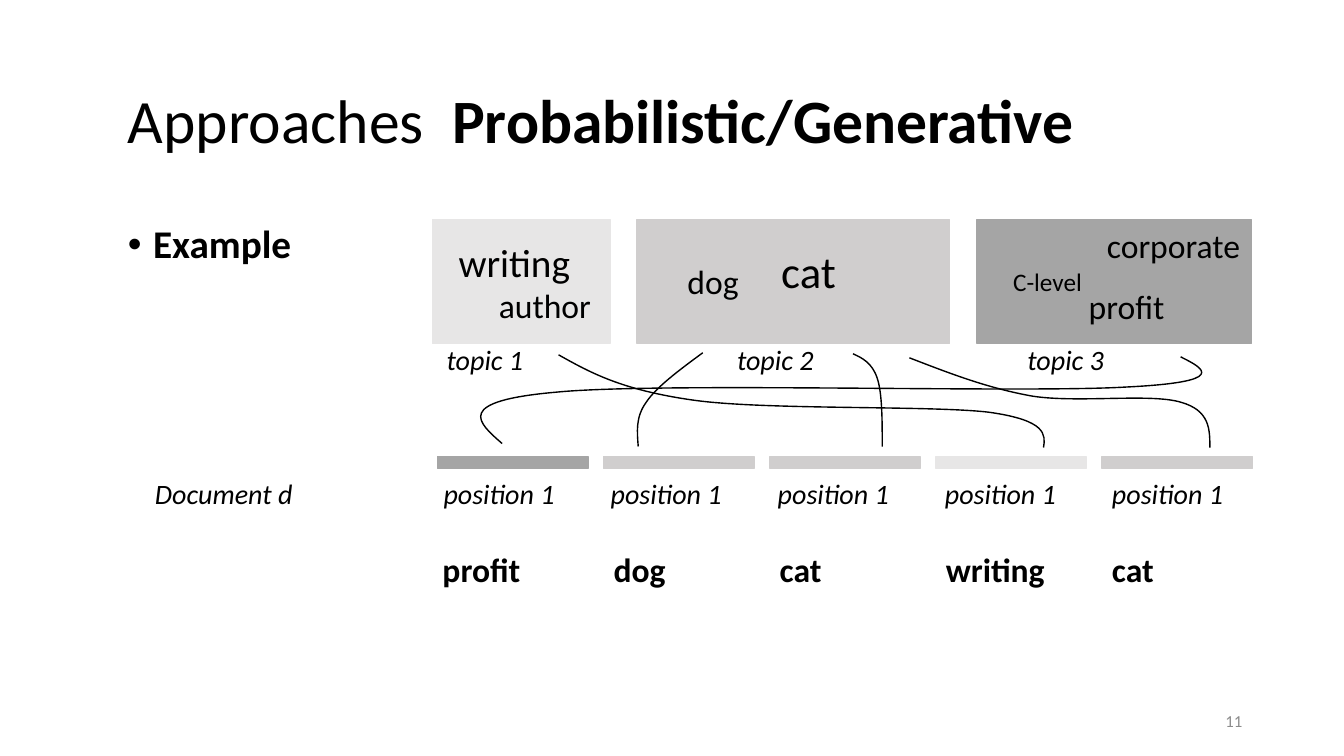
from pptx import Presentation
from pptx.dml.color import RGBColor
from pptx.enum.shapes import MSO_SHAPE
from pptx.enum.text import MSO_ANCHOR, MSO_AUTO_SIZE, PP_ALIGN
from pptx.util import Inches, Pt
from lxml.etree import SubElement
from pptx.oxml.ns import qn

BLACK = RGBColor(0x00, 0x00, 0x00)
GRAY = RGBColor(0x8C, 0x8C, 0x8C)
LIGHT = RGBColor(0xE7, 0xE6, 0xE6)
MEDIUM = RGBColor(0xD0, 0xCE, 0xCE)
DARK = RGBColor(0xA5, 0xA5, 0xA5)

TOPICS = [
    (0, 1.76, LIGHT, [("writing", 0.16, 0.13, 1.37, 28), ("author", 0.56, 0.6, 1.37, 24)]),
    (2.03, 3.1, MEDIUM, [("dog", 0.4, 0.36, 1.37, 24), ("cat", 1.33, 0.19, 1.37, 32)]),
    (5.4, 2.72, DARK, [("C-level", 0.26, 0.41, 1.37, 18), ("profit", 1.01, 0.61, 1.37, 24),
                       ("corporate", 1.19, 0, 1.61, 24)]),
]
POSITIONS = [("profit", DARK, -0.05), ("dog", MEDIUM, 0), ("cat", MEDIUM, 0),
             ("writing", LIGHT, 0), ("cat", MEDIUM, 0)]
LINKS = [
    ((1.25, 0.02, 4.81, 0.92),
     [(1.25, 0.02), (1.57, 0.2), (1.88, 0.37), (2.59, 0.47), (3.3, 0.57),
      (4.94, 0.52), (5.52, 0.59), (6.09, 0.67), (6.08, 0.81), (6.06, 0.94)]),
    ((2.03, 0, 0.65, 0.93),
     [(2.68, 0), (2.45, 0.17), (2.22, 0.34), (2.12, 0.49), (2.01, 0.64),
      (2.03, 0.79), (2.04, 0.93)]),
    ((4.17, 0.01, 0.29, 0.92),
     [(4.17, 0.01), (4.26, 0.05), (4.36, 0.1), (4.41, 0.25), (4.46, 0.4),
      (4.46, 0.66), (4.46, 0.93)]),
    ((4.73, 0.05, 2.98, 0.89),
     [(4.73, 0.05), (5.12, 0.2), (5.5, 0.35), (5.95, 0.43), (6.4, 0.5),
      (7.12, 0.4), (7.42, 0.49), (7.71, 0.57), (7.71, 0.76), (7.71, 0.94)]),
    ((0.48, 0.04, 7.15, 0.85),
     [(7.42, 0.04), (7.66, 0.16), (7.9, 0.29), (6.87, 0.34), (5.83, 0.4),
      (2.26, 0.29), (1.23, 0.39), (0.2, 0.48), (0.45, 0.69), (0.69, 0.9)]),
]


def add_text(slide, box, runs, size, color=BLACK, italic=False, align=PP_ALIGN.LEFT,
             anchor=MSO_ANCHOR.TOP, fit=MSO_AUTO_SIZE.NONE):
    """Add a one-paragraph text box from (text, bold) runs."""
    tf = slide.shapes.add_textbox(*map(Inches, box)).text_frame
    tf.word_wrap = True
    tf.auto_size = fit
    tf.vertical_anchor = anchor
    p = tf.paragraphs[0]
    p.alignment = align
    for text, bold in runs:
        r = p.add_run()
        r.text = text
        r.font.name = "Calibri"
        r.font.size = Pt(size)
        r.font.bold = bold
        r.font.italic = italic
        r.font.color.rgb = color
    return p


def add_word(slide, left, top, width, text, size, bold=False):
    """Add a word in a box that fits its height."""
    add_text(slide, (left, top, width, size / 60 + 0.1), [(text, bold)], size,
             fit=MSO_AUTO_SIZE.SHAPE_TO_FIT_TEXT)


def add_label(slide, left, top, text, width=1.32):
    """Add a centred italic label."""
    add_text(slide, (left, top, width, 0.44), [(text, False)], 20, italic=True,
             align=PP_ALIGN.CENTER, fit=MSO_AUTO_SIZE.SHAPE_TO_FIT_TEXT)


def add_block(slide, box, color):
    """Add a plain coloured rectangle."""
    sp = slide.shapes.add_shape(MSO_SHAPE.RECTANGLE, *map(Inches, box))
    sp.shadow.inherit = False
    sp.fill.solid()
    sp.fill.fore_color.rgb = color
    sp.line.color.rgb = color
    sp.line.width = Pt(1)


def add_title(slide, box):
    """Add the heading with its bold second part."""
    p = add_text(slide, box, [("Approaches  ", False), ("Probabilistic/Generative", True)],
                 44, anchor=MSO_ANCHOR.MIDDLE)
    p.line_spacing = 0.9


def add_bullet(slide, box):
    """Add the bulleted example line."""
    p = add_text(slide, box, [("Example", True)], 28)
    p.line_spacing = 0.9
    p.space_before = Pt(10)
    pPr = p._p.get_or_add_pPr()
    pPr.set("marL", str(Inches(0.25)))
    pPr.set("indent", str(Inches(-0.25)))
    SubElement(pPr, qn("a:buFont"), typeface="Arial")
    SubElement(pPr, qn("a:buChar"), char="•")


def add_topics(slide, left, top):
    """Add the topic blocks with their words and labels."""
    for i, (dx, width, color, words) in enumerate(TOPICS):
        x = left + dx
        add_block(slide, (x, top, width, 1.23), color)
        for text, word_dx, word_dy, word_width, size in words:
            add_word(slide, x + word_dx, top + word_dy, word_width, text, size)
        add_label(slide, left - 0.14 + 2.88 * i, top + 1.17, f"topic {i + 1}")


def add_document(slide, left, top):
    """Add the document row of positions and generated words."""
    add_label(slide, left - 3.17, top + 0.15, "Document d", 2.1)
    for i, (word, color, word_dx) in enumerate(POSITIONS):
        x = left + 1.6475 * i
        add_block(slide, (x, top, 1.49, 0.12), color)
        add_label(slide, left - 0.05 + 1.6575 * i, top + 0.15, "position 1")
        add_word(slide, x + word_dx, top + 0.87, 1.32, word, 24, bold=True)


def add_curve(slide, left, top, box, knots):
    """Add one open cubic curve inside its box."""
    dx, dy, width, height = box
    x, y = left + dx, top + dy
    builder = slide.shapes.build_freeform(Inches(x), Inches(y))
    builder.add_line_segments([(Inches(x + width), Inches(y + height))], close=False)
    sp = builder.convert_to_shape()
    sp.shadow.inherit = False
    sp.fill.background()
    sp.line.color.rgb = BLACK
    sp.line.width = Pt(1)
    outline = next(sp._element.iter(qn("a:path")))
    for step in list(outline):
        outline.remove(step)
    groups = [("a:moveTo", knots[:1])]
    groups += [("a:cubicBezTo", knots[i:i + 3]) for i in range(1, len(knots), 3)]
    for tag, points in groups:
        step = SubElement(outline, qn(tag))
        for px, py in points:
            SubElement(step, qn("a:pt"), x=str(Inches(px - dx)), y=str(Inches(py - dy)))


def add_links(slide, left, top):
    """Add the curves that join topics to positions."""
    for box, knots in LINKS:
        add_curve(slide, left, top, box, knots)


def main():
    """Build and save the slide."""
    prs = Presentation()
    prs.slide_width = Inches(13.33)
    prs.slide_height = Inches(7.5)
    slide = prs.slides.add_slide(prs.slide_layouts[6])
    add_bullet(slide, (1.17, 2.18, 11.25, 5.25))
    add_text(slide, (9.42, 6.95, 3, 0.4), [("11", False)], 12, GRAY,
             align=PP_ALIGN.RIGHT, anchor=MSO_ANCHOR.MIDDLE)
    add_title(slide, (1.17, 0.61, 11.25, 1.23))
    add_topics(slide, 4.29, 2.18)
    add_document(slide, 4.34, 4.53)
    add_links(slide, 4.29, 3.5)
    prs.save("out.pptx")


if __name__ == "__main__":
    main()
